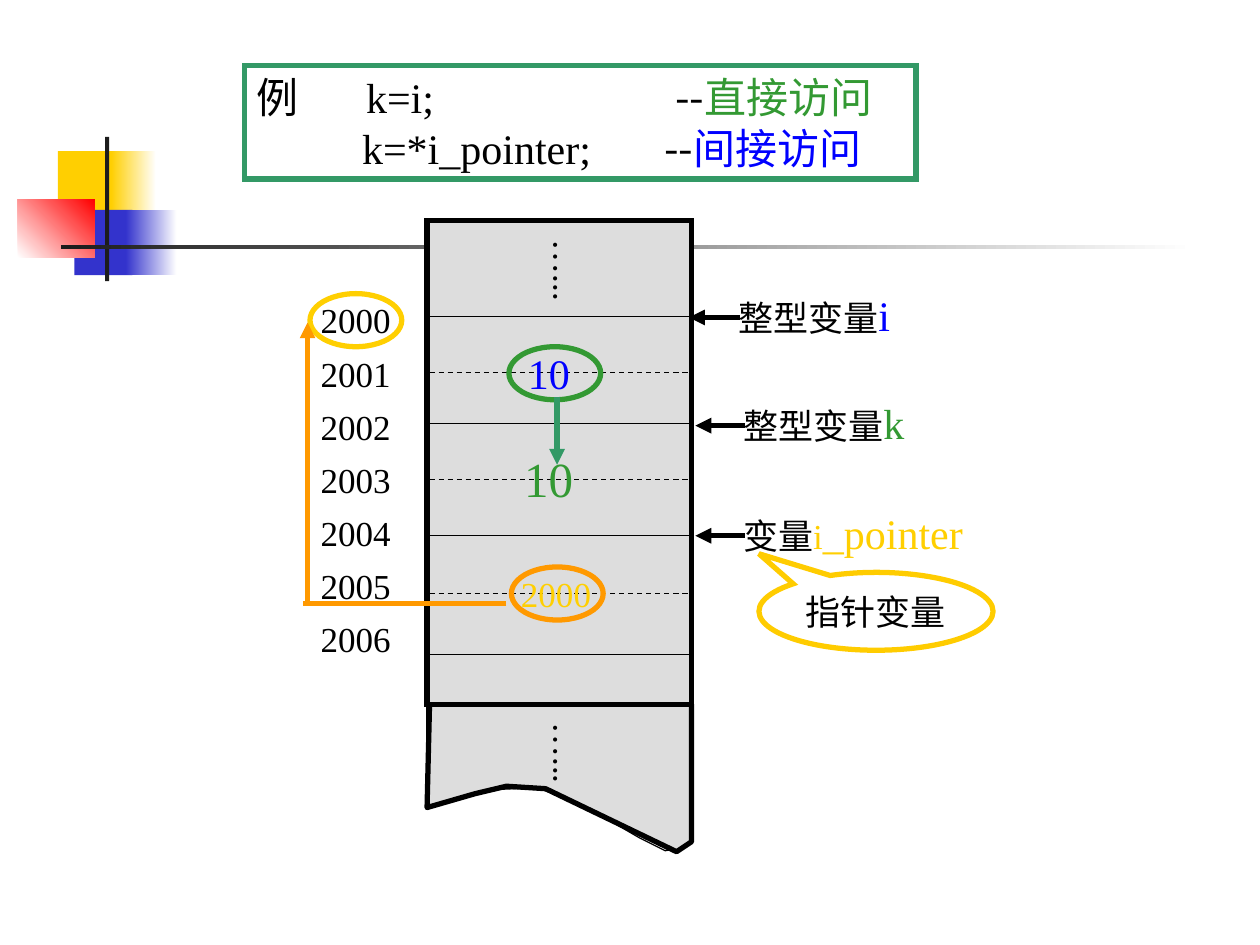
from pptx import Presentation
from pptx.dml.color import RGBColor
from pptx.enum.dml import MSO_LINE
from pptx.enum.shapes import MSO_CONNECTOR, MSO_SHAPE
from pptx.enum.text import MSO_ANCHOR, MSO_AUTO_SIZE, PP_ALIGN
from pptx.oxml.ns import qn
from pptx.util import Cm, Pt
from lxml import etree

RECT, OVAL = MSO_SHAPE.RECTANGLE, MSO_SHAPE.OVAL
CALLOUT = MSO_SHAPE.OVAL_CALLOUT
STRAIGHT, DASH = MSO_CONNECTOR.STRAIGHT, MSO_LINE.DASH
LEFT, CENTER = PP_ALIGN.LEFT, PP_ALIGN.CENTER
TOP, MIDDLE = MSO_ANCHOR.TOP, MSO_ANCHOR.MIDDLE
FIT = MSO_AUTO_SIZE.SHAPE_TO_FIT_TEXT
SERIF, SANS, HAN = "Times New Roman", "Lato", "Noto Sans CJK SC"

COLORS = {
    "black": "000000", "ink": "1C1C1C", "white": "FFFFFF", "grey": "DDDDDD",
    "gold": "FFCF01", "amber": "FFCC00", "orange": "FF9900", "red": "FF0000",
    "navy": "3333CC", "blue": "0000FF", "green": "339933", "teal": "339966",
}


def color(name):
    return RGBColor.from_string(COLORS[name])


def style(shape, fill=None, line=None, width=3):
    """Fill is a colour name, a (start, end, angle) gradient or None."""
    shape.shadow.inherit = False
    if fill is None:
        shape.fill.background()
    elif isinstance(fill, tuple):
        shape.fill.gradient()
        shape.fill.gradient_angle = fill[2]
        for stop, name in zip(shape.fill.gradient_stops, fill):
            stop.color.rgb = color(name)
    else:
        shape.fill.solid()
        shape.fill.fore_color.rgb = color(fill)
    if line:
        shape.line.color.rgb = color(line)
        shape.line.width = Pt(width)
    else:
        shape.line.fill.background()


def add_box(slide, kind, box, fill=None, line=None):
    shape = slide.shapes.add_shape(kind, *map(Cm, box))
    style(shape, fill, line)
    if line:  # sharp corners
        etree.SubElement(shape.line._get_or_add_ln(), qn("a:miter"), lim="800000")
    return shape


def add_poly(slide, points, fill, line, width, close):
    dots = [(Cm(x), Cm(y)) for x, y in points]
    pen = slide.shapes.build_freeform(*dots[0])
    pen.add_line_segments(dots[1:], close=close)
    style(pen.convert_to_shape(), fill, line, width)


def add_line(slide, x1, y1, x2, y2, name="black", width=0.75, dash=None, arrow=False):
    line = slide.shapes.add_connector(STRAIGHT, Cm(x1), Cm(y1), Cm(x2), Cm(y2))
    line.line.color.rgb = color(name)
    line.line.width = Pt(width)
    if dash:
        line.line.dash_style = dash
    if arrow:
        etree.SubElement(line.line._get_or_add_ln(), qn("a:tailEnd"), type="triangle")
    etree.SubElement(line._element.spPr, qn("a:effectLst"))


def set_frame(shape, align=CENTER, anchor=MIDDLE):
    frame = shape.text_frame
    frame.word_wrap = False
    frame.auto_size = FIT
    frame.vertical_anchor = anchor
    frame.paragraphs[0].alignment = align
    return frame


def add_runs(para, runs, face=SERIF):
    for text, size, name in runs:
        run = para.add_run()
        run.text = text
        run.font.size = Pt(size)
        run.font.name = face
        run.font.color.rgb = color(name)
        etree.SubElement(run.font._element, qn("a:ea"), typeface=HAN)


def add_text(slide, box, runs, align=CENTER, anchor=MIDDLE):
    shape = slide.shapes.add_textbox(*map(Cm, box))
    frame = set_frame(shape, align, anchor)
    add_runs(frame.paragraphs[0], runs)
    return frame


def add_dots(slide, y):
    frame = add_text(slide, (10.77, y, 1.35, 1.5), [("…...", 20, "black")])
    frame._txBody.bodyPr.set("vert", "eaVert")
    frame.margin_left = frame.margin_right = Cm(0.13)
    frame.margin_top = frame.margin_bottom = Cm(0.25)


def add_label(slide, tip, tail, y, width, runs):
    add_line(slide, tail, y, tip, y, width=3, arrow=True)
    add_text(slide, (tail - 0.28, y - 0.69, width, 1.27), runs, LEFT, TOP)


def add_decor(slide):
    for box, fill in [
        ((1.17, 3.05, 1.22, 1.32), "gold"),
        ((2.24, 3.05, 0.91, 1.32), ("gold", "white", 0)),
        ((1.5, 4.23, 1.17, 1.32), "navy"),
        ((2.54, 4.23, 1.02, 1.32), ("navy", "white", 0)),
        ((0.36, 4.02, 1.55, 1.17), ("white", "red", 45)),
        ((2.12, 2.76, 0.08, 2.91), "ink"),
        ((1.23, 4.94, 22.86, 0.09), ("ink", "white", 0)),
    ]:
        add_box(slide, RECT, box, fill)


def add_memory(slide):
    # Torn lower end
    curve = [(8.61, 16.31), (9.68, 15.93), (10.82, 15.88), (11.48, 16.11), (12.22, 16.5),
             (12.89, 16.89), (13.41, 17.15), (13.84, 17.08), (13.94, 16.87)]
    torn = [(8.66, 14.2), (13.94, 14.2), (13.94, 16.97), (13.64, 17.17), (11.79, 16.28),
            (11, 15.9), (10.21, 15.85), (9.58, 16), (8.61, 16.28)]
    add_poly(slide, curve, None, "black", 0.75, False)
    add_poly(slide, torn, "grey", "black", 3, True)
    # Cells: solid borders alternate with dashed byte marks
    add_box(slide, RECT, (8.61, 4.45, 5.33, 9.75), "grey", "black")
    for i, y in enumerate((6.38, 7.51, 8.54, 9.67, 10.8, 11.96, 13.19)):
        add_line(slide, 8.66, y, 14, y, dash=DASH if i % 2 else None)
    add_line(slide, 8.61, 14.25, 8.61, 16.26)
    add_line(slide, 13.94, 14.25, 13.94, 16.89)
    for y in (4.58, 14.31):
        add_dots(slide, y)
    # Addresses
    for i in range(7):
        add_text(slide, (6.12, 5.89 + 1.07 * i, 2.1, 1.12), [(str(2000 + i), 20, "black")])


def add_values(slide):
    for box, text, size, name in [
        ((10.39, 6.88, 1.35, 1.27), "10", 24, "blue"),
        ((10.16, 11.4, 2.1, 1.12), "2000", 20, "gold"),
        ((10.31, 8.92, 1.5, 1.45), "10", 28, "green"),
    ]:
        add_text(slide, box, [(text, size, name)])
    for x, y, name in [(6.25, 5.92, "gold"), (10.31, 11.43, "orange"), (10.26, 6.99, "green")]:
        add_box(slide, OVAL, (x, y, 1.85, 1.07), line=name)
    # Copy of the value, and the pointer's way back to 2000
    add_line(slide, 11.23, 8, 11.23, 9.37, "teal", 3, arrow=True)
    add_line(slide, 10.21, 12.17, 6.1, 12.17, "orange", 3)
    add_line(slide, 6.2, 12.17, 6.2, 6.5, "orange", 3, arrow=True)


def add_code(slide):
    shape = add_box(slide, RECT, (4.93, 1.32, 13.54, 2.29), "white", "teal")
    frame = set_frame(shape, LEFT)
    rows = [
        ("例\tk=i;\t", "直接访问", "green", (2.2, 8.43)),
        ("\tk=*i_pointer;\t", "间接访问", "blue", (2.12, 8.21)),
    ]
    for i, (code, note, name, stops) in enumerate(rows):
        para = frame.add_paragraph() if i else frame.paragraphs[0]
        para.alignment = LEFT
        tabs = etree.SubElement(para._p.get_or_add_pPr(), qn("a:tabLst"))
        for stop in stops:
            etree.SubElement(tabs, qn("a:tab"), pos=str(Cm(stop)), algn="l")
        add_runs(para, [(code, 24, "black")])
        add_runs(para, [("--", 24, "black"), (note, 24, name)], HAN)


def main():
    prs = Presentation()
    prs.slide_width, prs.slide_height = Cm(25.4), Cm(19.05)
    slide = prs.slides.add_slide(prs.slide_layouts[6])
    add_decor(slide)
    # Callout
    note = add_box(slide, CALLOUT, (15.3, 11.54, 4.72, 1.57), line="amber")
    note.adjustments[0], note.adjustments[1] = -0.5, -0.74
    add_runs(set_frame(note).paragraphs[0], [("指针变量", 20, "black")], SANS)
    add_memory(slide)
    # Variable names
    add_label(slide, 13.89, 14.91, 6.4, 4, [("整型变量", 20, "black"), ("i", 24, "blue")])
    add_label(slide, 14.02, 15.01, 8.58, 4.2, [("整型变量", 20, "black"), ("k", 24, "green")])
    add_label(slide, 14.02, 15.01, 10.8, 5.3,
              [("变量", 20, "black"), ("i", 20, "gold"), ("_pointer", 24, "gold")])
    add_values(slide)
    add_code(slide)
    prs.save("out.pptx")


if __name__ == "__main__":
    main()
